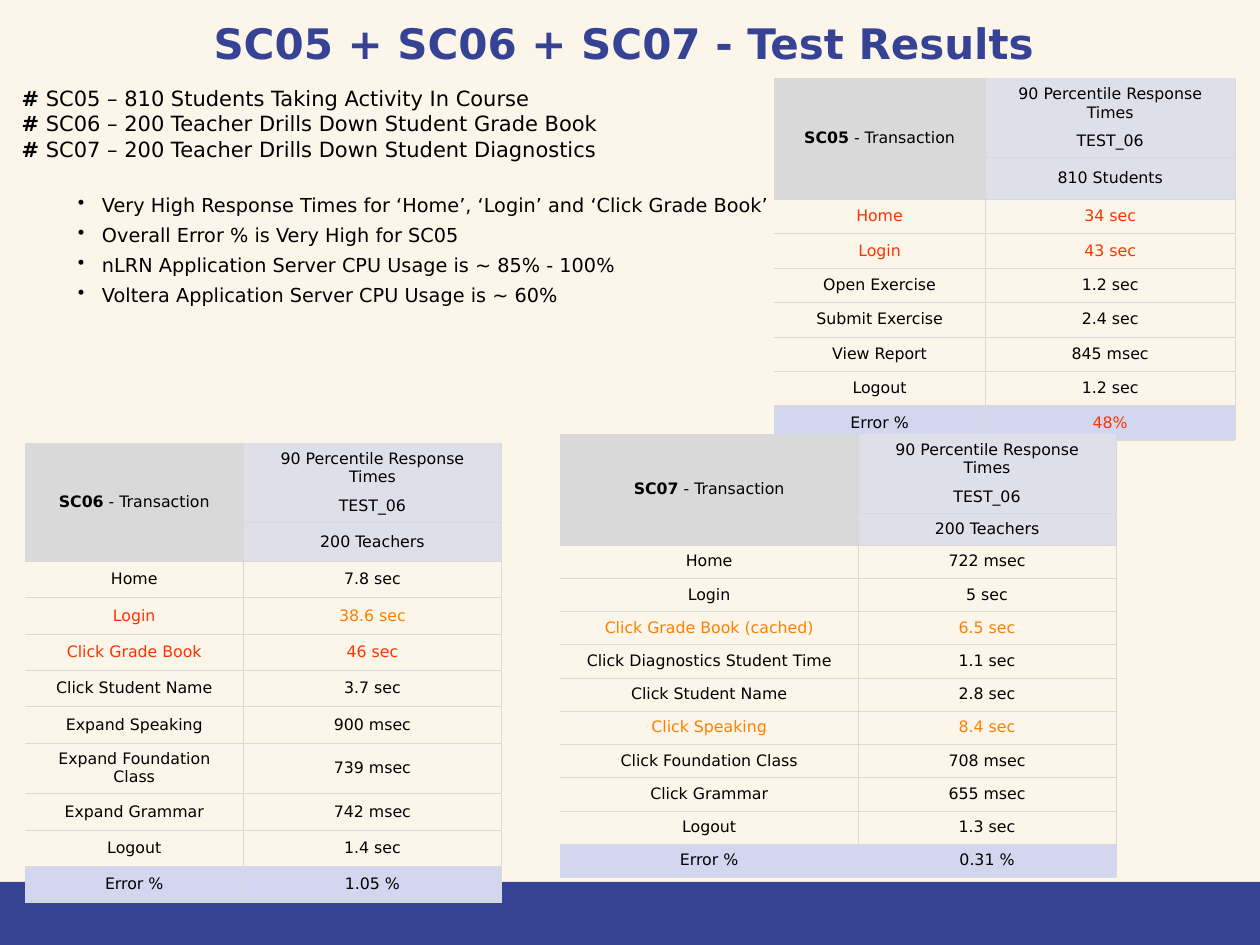
"""Build the test results slide for scenarios SC05, SC06 and SC07."""
from pptx import Presentation
from pptx.dml.color import RGBColor as RGB
from pptx.enum.shapes import MSO_SHAPE as SHAPE
from pptx.enum.text import MSO_ANCHOR as ANCHOR, PP_ALIGN as ALIGN
from pptx.oxml import parse_xml
from pptx.oxml.ns import nsdecls, qn
from pptx.util import Pt

TITLE = "SC05 + SC06 + SC07 - Test Results"
SCENARIOS = [
    "SC05 – 810 Students Taking Activity In Course",
    "SC06 – 200 Teacher Drills Down Student Grade Book",
    "SC07 – 200 Teacher Drills Down Student Diagnostics",
]
FINDINGS = [
    "Very High Response Times for ‘Home’, ‘Login’ and ‘Click Grade Book’",
    "Overall Error % is Very High for SC05",
    "nLRN Application Server CPU Usage is ~ 85% - 100%",
    "Voltera Application Server CPU Usage is ~ 60%",
]
HEADINGS = ["90 Percentile Response Times", "TEST_06"]
TABLES = [
    {
        "name": "SC05", "users": "810 Students", "at": (442.1, 44.6),
        "cols": (121, 142.6), "head": (27.4, 23.8), "row": 19.7,
        "rows": [
            ("Home", "34 sec", "red", "red"),
            ("Login", "43 sec", "red", "red"),
            ("Open Exercise", "1.2 sec"),
            ("Submit Exercise", "2.4 sec"),
            ("View Report", "845 msec"),
            ("Logout", "1.2 sec"),
            ("Error %", "48%", "black", "red"),
        ],
    },
    {
        "name": "SC06", "users": "200 Teachers", "at": (14.4, 253),
        "cols": (124.6, 147.6), "head": (27.8, 22.3), "row": 20.8,
        "rows": [
            ("Home", "7.8 sec"),
            ("Login", "38.6 sec", "red", "orange"),
            ("Click Grade Book", "46 sec", "red", "red"),
            ("Click Student Name", "3.7 sec"),
            ("Expand Speaking", "900 msec"),
            ("Expand Foundation Class", "739 msec"),
            ("Expand Grammar", "742 msec"),
            ("Logout", "1.4 sec"),
            ("Error %", "1.05 %"),
        ],
    },
    {
        "name": "SC07", "users": "200 Teachers", "at": (320.2, 247.9),
        "cols": (170, 147.6), "head": (27.4, 16.6), "row": 19,
        "rows": [
            ("Home", "722 msec"),
            ("Login", "5 sec"),
            ("Click Grade Book (cached)", "6.5 sec", "orange", "orange"),
            ("Click Diagnostics Student Time", "1.1 sec"),
            ("Click Student Name", "2.8 sec"),
            ("Click Speaking", "8.4 sec", "orange", "orange"),
            ("Click Foundation Class", "708 msec"),
            ("Click Grammar", "655 msec"),
            ("Logout", "1.3 sec"),
            ("Error %", "0.31 %"),
        ],
    },
]
COLORS = {
    "cream": "FBF5EA", "navy": "364395", "black": "000000", "red": "FF3300",
    "orange": "FF8000", "gray": "D9D9D9", "lilac": "DFDFE9", "total": "D2D6EF",
}
FONT = "DejaVu Sans"
NO_STYLE = "{2D5ABB26-0587-4C30-8999-92F81FD0307C}"
HEADING_GAP = 5.6
BLOCK_GAP = 14.3


def rgb(name):
    return RGB.from_string(COLORS[name])


def add_run(p, text, size, color="black", bold=False):
    r = p.add_run()
    r.text = text
    for key, value in {"name": FONT, "size": Pt(size), "bold": bold}.items():
        setattr(r.font, key, value)
    r.font.color.rgb = rgb(color)


def next_paragraph(tf, **formats):
    first = tf.paragraphs[0]
    p = tf.add_paragraph() if first.runs else first
    for key, value in formats.items():
        setattr(p, key, value)
    return p


def add_text_box(s, left, top, width, height, anchor=ANCHOR.TOP):
    tf = s.shapes.add_textbox(Pt(left), Pt(top), Pt(width), Pt(height)).text_frame
    formats = {
        "word_wrap": True, "vertical_anchor": anchor, "margin_left": 0,
        "margin_top": 0, "margin_right": Pt(7.2), "margin_bottom": Pt(3.6),
    }
    for key, value in formats.items():
        setattr(tf, key, value)
    return tf


def set_indent(p, left, first=0, bullet=None):
    pPr = p._p.get_or_add_pPr()
    pPr.set("marL", str(Pt(left)))
    pPr.set("indent", str(Pt(first)))
    if bullet:
        pPr.append(parse_xml(f'<a:buChar {nsdecls("a")} char="{bullet}"/>'))


def format_cell(cell, fill=None):
    cell.vertical_anchor = ANCHOR.MIDDLE
    tcPr = cell._tc.get_or_add_tcPr()
    for side in ("lnR", "lnB"):
        tcPr.append(parse_xml(
            f'<a:{side} {nsdecls("a")} w="{Pt(0.11)}"><a:solidFill>'
            f'<a:srgbClr val="{COLORS["gray"]}"/></a:solidFill></a:{side}>'))
    if fill:
        cell.fill.solid()
        cell.fill.fore_color.rgb = rgb(fill)
    else:
        cell.fill.background()


def add_results(s, data):
    heights = [*data["head"], *[data["row"]] * len(data["rows"])]
    frame = s.shapes.add_table(
        len(heights), 2, *map(Pt, data["at"]), Pt(sum(data["cols"])), Pt(sum(heights)))
    table = frame.table
    table.first_row = table.horz_banding = False
    table._tbl.tblPr.find(qn("a:tableStyleId")).text = NO_STYLE
    for column, width in zip(table.columns, data["cols"]):
        column.width = Pt(width)
    for row, height in zip(table.rows, heights):
        row.height = Pt(height)

    for i in range(2):
        format_cell(table.cell(i, 0), "gray")
        format_cell(table.cell(i, 1), "lilac")
    table.cell(0, 0).merge(table.cell(1, 0))
    p = next_paragraph(table.cell(0, 0).text_frame, alignment=ALIGN.CENTER)
    add_run(p, data["name"], 9, bold=True)
    add_run(p, " - Transaction", 9)
    for i, text in enumerate(HEADINGS):
        p = next_paragraph(table.cell(0, 1).text_frame, alignment=ALIGN.CENTER,
                           space_before=Pt(HEADING_GAP if i else 0))
        add_run(p, text, 9)
    p = next_paragraph(table.cell(1, 1).text_frame, alignment=ALIGN.CENTER)
    add_run(p, data["users"], 9)

    for i, (label, value, *colors) in enumerate(data["rows"], 2):
        fill = "total" if label == "Error %" else None
        for j, (text, color) in enumerate(zip((label, value), colors or ["black"] * 2)):
            cell = table.cell(i, j)
            format_cell(cell, fill)
            add_run(next_paragraph(cell.text_frame, alignment=ALIGN.CENTER), text, 9, color)


def main():
    prs = Presentation()
    prs.slide_width, prs.slide_height = Pt(720), Pt(540)
    s = prs.slides.add_slide(prs.slide_layouts[6])
    s.background.fill.solid()
    s.background.fill.fore_color.rgb = rgb("cream")

    bar = s.shapes.add_shape(SHAPE.RECTANGLE, 0, Pt(504), Pt(720), Pt(36))
    bar.shadow.inherit = False
    bar.fill.solid()
    bar.fill.fore_color.rgb = rgb("navy")
    bar.line.fill.background()

    tf = add_text_box(s, 42.5, 9.4, 635, 33.8, ANCHOR.MIDDLE)
    add_run(next_paragraph(tf, alignment=ALIGN.CENTER), TITLE, 24, "navy", True)

    tf = add_text_box(s, 8.6, 49, 692, 453.6)
    for text in SCENARIOS:
        p = next_paragraph(tf, alignment=ALIGN.JUSTIFY)
        set_indent(p, 3.8)
        add_run(p, "#", 12, bold=True)
        add_run(p, f" {text}", 12)
    for i, text in enumerate(FINDINGS):
        p = next_paragraph(tf, alignment=ALIGN.JUSTIFY, level=1, line_spacing=1.3,
                           space_before=Pt(0 if i else BLOCK_GAP))
        set_indent(p, 49.7, -13.7, "•")
        add_run(p, text, 11)

    for data in TABLES:
        add_results(s, data)
    prs.save("out.pptx")


if __name__ == "__main__":
    main()
